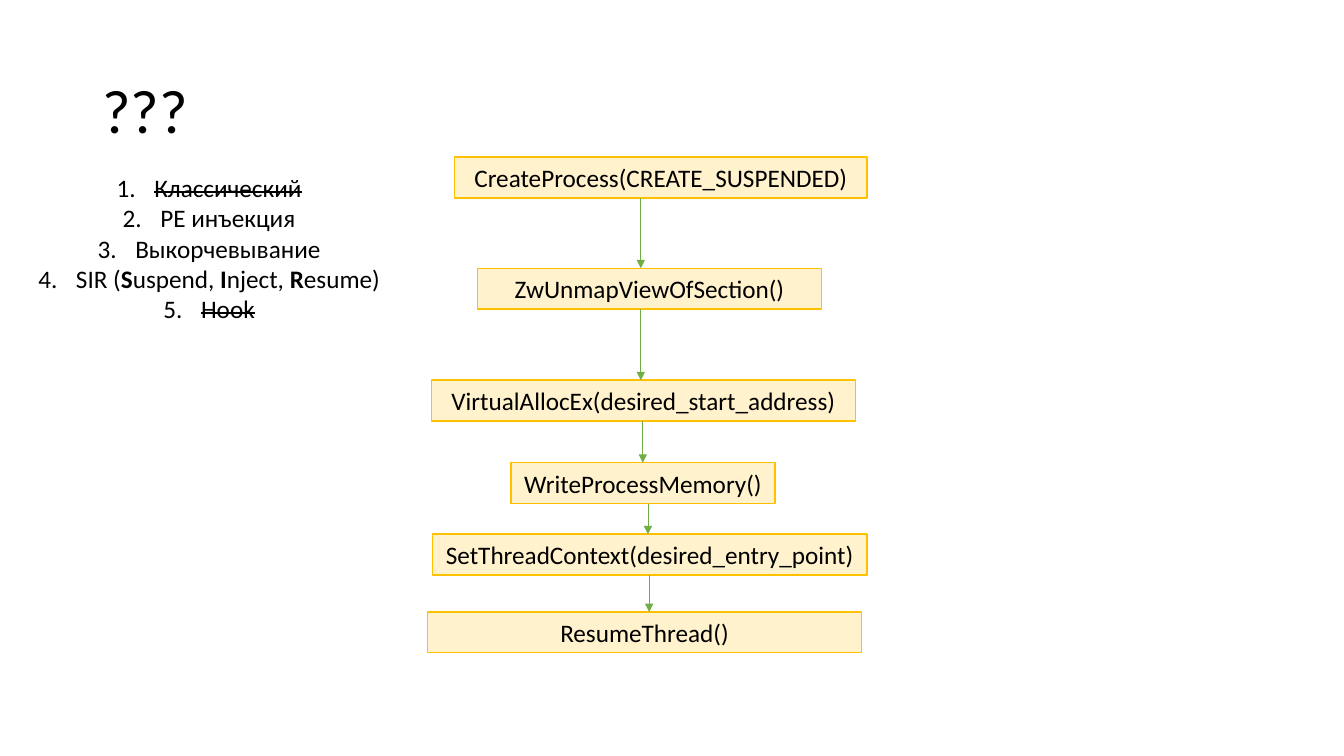
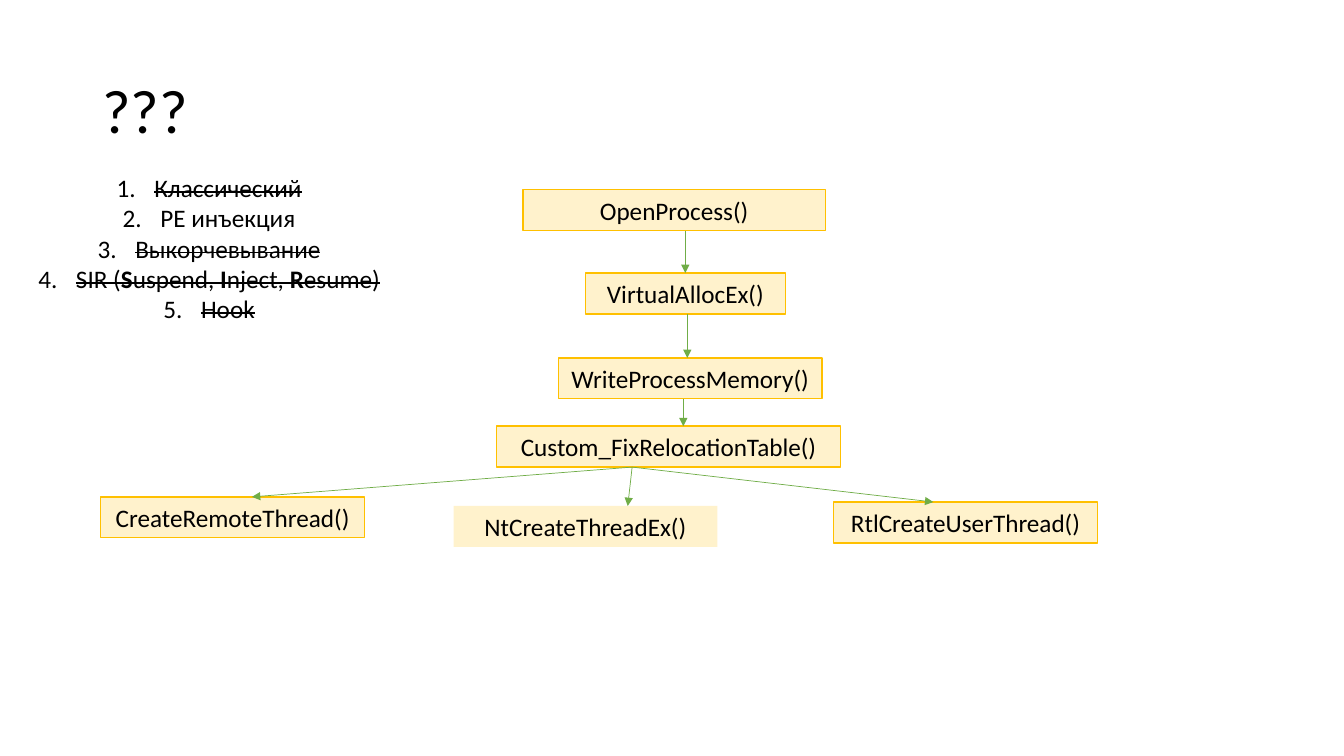
from lxml import etree
from pptx import Presentation
from pptx import util as u
from pptx.dml.color import RGBColor
from pptx.enum import shapes, text
from pptx.oxml import ns

FONT = "Calibri"
COLORS = {"text": "000000", "fill": "FFF2CC", "edge": "FFC000", "arrow": "70AD47"}
HIGH = 1.03
LEAF = 6.65
FORK = 15.93

METHODS = [
    "Классический",
    "PE инъекция",
    "Выкорчевывание",
    "SIR (*S*uspend, *I*nject, *R*esume)",
    "Hook",
]

HOLLOW = [
    ("CreateProcess(CREATE_SUSPENDED)", 11.46, 3.96, 10.39, 16.15),
    ("ZwUnmapViewOfSection()", 12.04, 6.76, 8.66, 16.15),
    ("VirtualAllocEx(desired_start_address)", 10.87, 9.58, 10.69, 16.2),
    ("WriteProcessMemory()", 12.88, 11.66, 6.65, 16.33),
    ("SetThreadContext(desired_entry_point)", 10.9, 13.46, 10.95, 16.36),
    ("ResumeThread()", 10.77, 15.42, 10.95, 16.36),
]

INJECT = [
    ("OpenProcess()", 13.18, 4.78, 7.62, 17.27),
    ("VirtualAllocEx()", 14.76, 6.88, 5.03, 17.32),
    ("WriteProcessMemory()", 14.07, 9.02, 6.65, 17.22),
    ("Custom_FixRelocationTable()", 12.52, 10.74, 8.66, FORK),
]

LEAVES = [
    ("CreateRemoteThread()", 2.54, 12.52, 6.35, True),
    ("NtCreateThreadEx()", 11.43, 12.75, 15.82, False),
    ("RtlCreateUserThread()", 21.01, 12.65, 23.52, True),
]


def color(name):
    return RGBColor.from_string(COLORS[name])


def write(frame, lines, size=18, align=text.PP_ALIGN.CENTER,
          anchor=text.MSO_ANCHOR.MIDDLE, space=None, struck=(), count=False):
    frame.word_wrap = True
    frame.vertical_anchor = anchor
    for row, line in enumerate(lines):
        para = frame.paragraphs[0] if row == 0 else frame.add_paragraph()
        para.alignment = align
        if space:
            para.line_spacing = space
        if count:
            number(para)
        for part, words in enumerate(line.split("*")):
            run = para.add_run()
            run.text = words
            font = run.font
            font.name, font.size = FONT, u.Pt(size)
            font.bold = part % 2 == 1
            font.color.rgb = color("text")
            if row in struck:
                run._r.get_or_add_rPr().set("strike", "sngStrike")


def number(para):
    props = para._p.get_or_add_pPr()
    props.set("marL", str(u.Cm(0.95)))
    props.set("indent", str(-u.Cm(0.95)))
    etree.SubElement(props, ns.qn("a:buFont"), typeface="+mj-lt")
    etree.SubElement(props, ns.qn("a:buAutoNum"), type="arabicPeriod")


def label(slide, left, top, width, height, lines, **style):
    area = slide.shapes.add_textbox(u.Cm(left), u.Cm(top), u.Cm(width), u.Cm(height))
    write(area.text_frame, lines, **style)


def box(slide, words, left, top, width, edge=True):
    shape = slide.shapes.add_shape(
        shapes.MSO_SHAPE.RECTANGLE, u.Cm(left), u.Cm(top), u.Cm(width), u.Cm(HIGH))
    shape.shadow.inherit = False
    shape.fill.solid()
    shape.fill.fore_color.rgb = color("fill")
    if edge:
        shape.line.color.rgb = color("edge")
        shape.line.width = u.Pt(1)
    else:
        shape.line.fill.background()
    write(shape.text_frame, [words])


def arrow(slide, *ends):
    link = slide.shapes.add_connector(
        shapes.MSO_CONNECTOR.STRAIGHT, *[u.Cm(end) for end in ends])
    link.line.color.rgb = color("arrow")
    link.line.width = u.Pt(0.5)
    etree.SubElement(link.line._get_or_add_ln(), ns.qn("a:tailEnd"), type="triangle")
    etree.SubElement(link._element.spPr, ns.qn("a:effectLst"))


def chain(slide, steps):
    for words, left, top, width, _ in steps:
        box(slide, words, left, top, width)
    for step, after in zip(steps, steps[1:]):
        arrow(slide, step[4], step[2] + HIGH, step[4], after[2])


def fork(slide, start, leaves):
    for words, left, top, tip, edge in leaves:
        box(slide, words, left, top, LEAF, edge)
        arrow(slide, FORK, start, tip, top)


def page(deck, struck):
    slide = deck.slides.add_slide(deck.slide_layouts[6])
    label(slide, 2.33, 1.01, 29.21, 3.68, ["???"],
          size=44, align=text.PP_ALIGN.LEFT, space=0.9)
    label(slide, 0, 4.22, 10.54, 4.88, METHODS,
          anchor=text.MSO_ANCHOR.TOP, struck=struck, count=True)
    return slide


def main():
    deck = Presentation()
    deck.slide_width, deck.slide_height = u.Cm(33.87), u.Cm(19.05)
    chain(page(deck, {0, 4}), HOLLOW)
    slide = page(deck, {0, 2, 3, 4})
    chain(slide, INJECT)
    fork(slide, INJECT[-1][2] + HIGH, LEAVES)
    deck.save("out.pptx")


if __name__ == "__main__":
    main()
